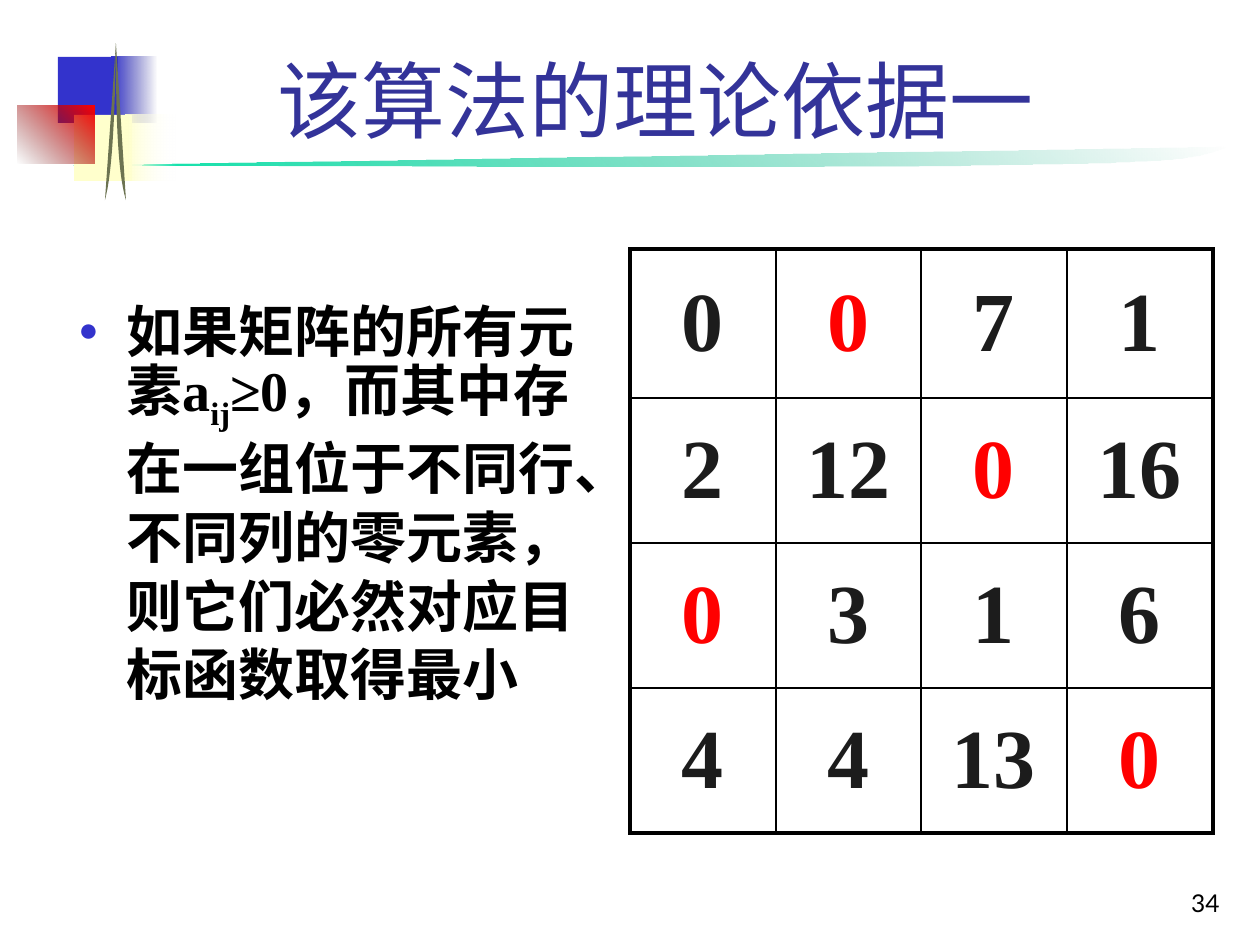
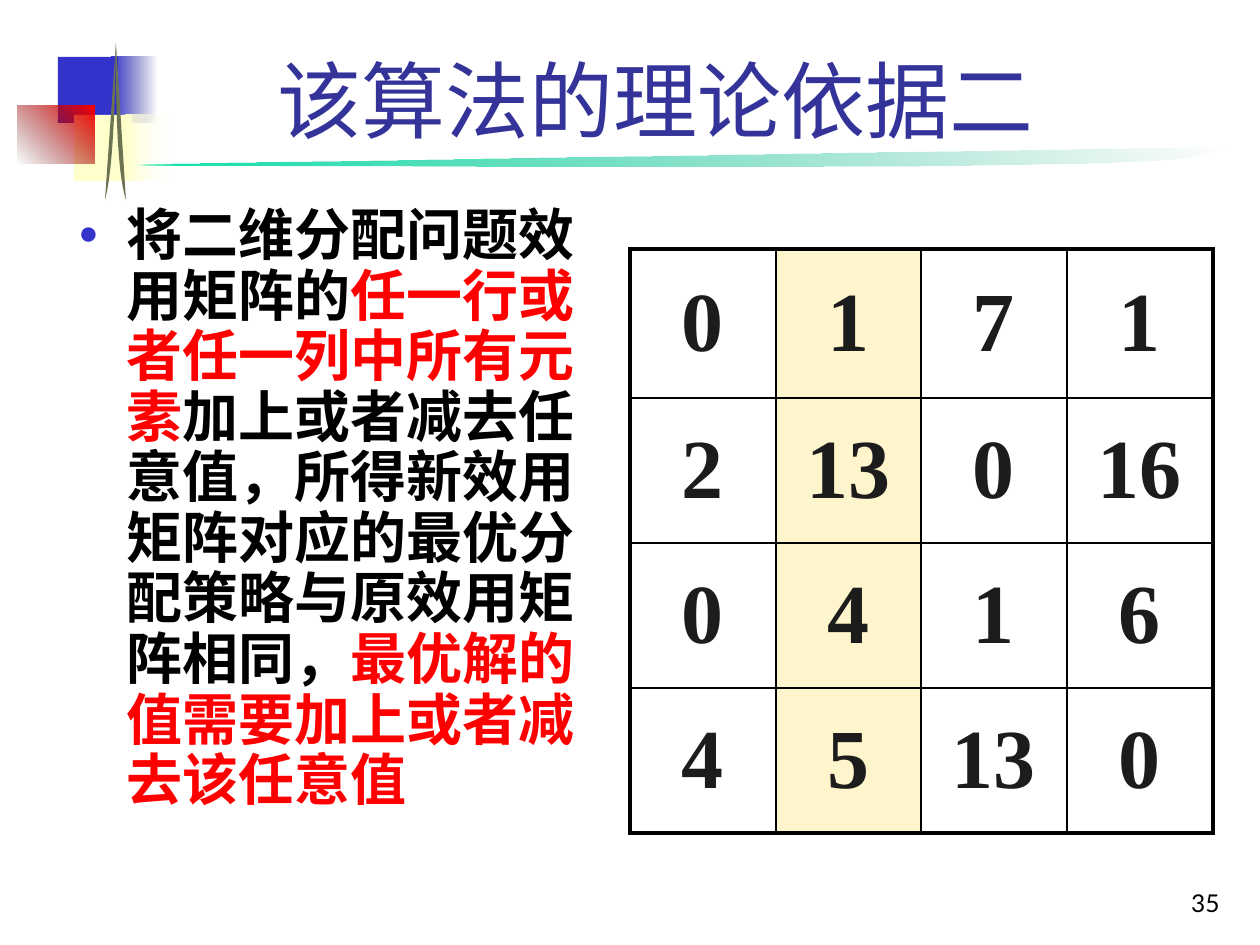
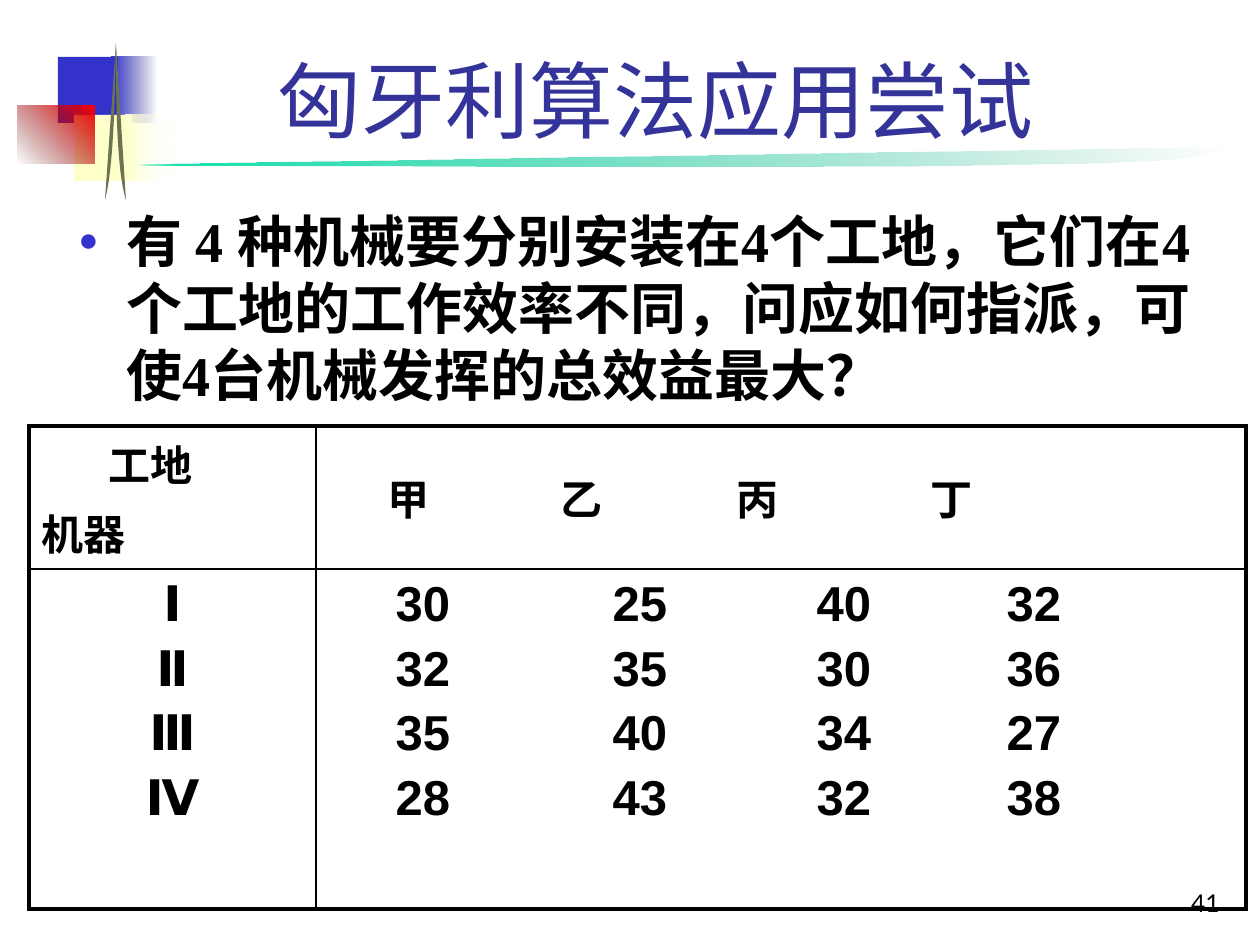
from lxml import etree
from pptx import Presentation
from pptx.dml.color import RGBColor
from pptx.enum.shapes import MSO_SHAPE
from pptx.enum.text import MSO_ANCHOR, PP_ALIGN
from pptx.oxml.ns import qn
from pptx.util import Pt

PX = 914400 / 126
RECT = MSO_SHAPE.RECTANGLE
MIDDLE, BOTTOM = MSO_ANCHOR.MIDDLE, MSO_ANCHOR.BOTTOM
CENTER, RIGHT = PP_ALIGN.CENTER, PP_ALIGN.RIGHT

BLACK = RGBColor(0x00, 0x00, 0x00)
INK = RGBColor(0x1C, 0x1C, 0x1C)
RED = RGBColor(0xFF, 0x00, 0x00)
MAROON = RGBColor(0x4D, 0x00, 0x00)
BLUE = RGBColor(0x33, 0x33, 0xCC)
NAVY = RGBColor(0x24, 0x24, 0x92)
INDIGO = RGBColor(0x33, 0x33, 0x99)
YELLOW = RGBColor(0xFF, 0xFF, 0xCC)
WHITE = RGBColor(0xFF, 0xFF, 0xFF)
CREAM = RGBColor(0xFF, 0xF5, 0xCC)
OLIVE = RGBColor(0x6C, 0x73, 0x51)
MINT = RGBColor(0x00, 0xE4, 0xA8)
GREEN = RGBColor(0x00, 0xA3, 0x78)

HAN = "Noto Sans CJK SC"
TITLE = dict(name=HAN, size=Pt(48), color=INDIGO)
BODY = dict(name="Times New Roman", size=Pt(32), bold=True, color=BLACK)
FOOT = dict(name="Lato", size=Pt(14), color=BLACK)
DIGIT = dict(BODY, size=Pt(48), color=INK)
HEAD = dict(name="Arial", size=Pt(24), bold=True, color=BLACK)
DATA = dict(HEAD, size=Pt(28))

GAP = Pt(4.7)
MATRIX = (630, 249, [146, 145, 146, 146], [149, 145, 145, 145])
PLAN = (29, 426, [287, 930], [143, 340])


def px(*nums):
    return [round(num * PX) for num in nums]


def child(parent, tag, **attrs):
    return etree.SubElement(parent, qn(tag), attrs)


def assign(target, values):
    for key, value in values.items():
        setattr(target, key, value)


# Text

def add_run(para, text, form, base=0):
    run = para.add_run()
    run.text = text
    for key, value in form.items():
        if key == "color":
            run.font.color.rgb = value
        else:
            setattr(run.font, key, value)
    props = run._r.get_or_add_rPr()
    child(props, "a:ea", typeface=HAN)
    if base:
        props.set("baseline", str(base * 1000))


def add_bullet(para):
    props = para._p.get_or_add_pPr()
    props.set("marL", str(px(48)[0]))
    props.set("indent", str(px(-48)[0]))
    child(child(props, "a:buClr"), "a:srgbClr", val=str(BLUE))
    child(props, "a:buSzPct", val="60000")
    child(props, "a:buFont", typeface="Arial")
    child(props, "a:buChar", char="●")


def add_tabs(para, stops):
    tabs = child(para._p.get_or_add_pPr(), "a:tabLst")
    for stop in px(*stops):
        child(tabs, "a:tab", pos=str(stop), algn="l")


def text_box(slide, box, **frame):
    area = slide.shapes.add_textbox(*px(*box)).text_frame
    assign(area, dict(frame, word_wrap=True))
    return area.paragraphs[0]


def fill_cell(cell, lines, form, stops=(), **layout):
    """Writes one paragraph a line, on shared tab stops."""
    area = cell.text_frame
    for num, line in enumerate(lines):
        para = area.add_paragraph() if num else area.paragraphs[0]
        if stops:
            add_tabs(para, stops)
        assign(para, layout)
        if num:
            para.space_before = GAP
        add_run(para, line, form)


# Decoration

def paint(shape, *stops, angle=0):
    """Fills with one colour, or with a gradient of (colour, alpha) stops."""
    shape.shadow.inherit = False
    shape.line.fill.background()
    if len(stops) == 1:
        shape.fill.solid()
        shape.fill.fore_color.rgb = stops[0]
        return
    shape.fill.gradient()
    shape.fill.gradient_angle = angle
    for stop, (color, alpha) in zip(shape.fill.gradient_stops, stops):
        stop.color.rgb = color
    tones = shape._element.spPr.iter(qn("a:srgbClr"))
    for tone, (color, alpha) in zip(tones, stops):
        child(tone, "a:alpha", val=str(alpha * 1000))


def bend(start, *curves, steps=16):
    """Points along a chain of cubic curves."""
    points = [start]
    for one, two, end in curves:
        first = points[-1]
        for step in range(1, steps + 1):
            t = step / steps
            u = 1 - t
            points.append(tuple(
                u**3 * a + 3 * u * u * t * b + 3 * u * t * t * c + t**3 * d
                for a, b, c, d in zip(first, one, two, end)))
    return points


def outline(slide, left, top, points):
    spots = [px(left + x, top + y) for x, y in points]
    pen = slide.shapes.build_freeform(*spots[0])
    pen.add_line_segments(spots[1:], close=True)
    return pen.convert_to_shape()


def swoosh(slide, left, top):
    points = bend((0, 18), ((367, 19), (732, 22), (925, 18)),
                  ((1116, 16), (1121, 12), (1156, 0)))
    paint(outline(slide, left, top, points), (MINT, 100), (GREEN, 0), angle=45)


def emblem(slide, left, top):
    # Overlapping squares
    tiles = [
        ((40, 14, 60, 66), [BLUE], 0),
        ((93, 14, 45, 66), [(BLUE, 100), (NAVY, 0)], 0),
        ((56, 72, 58, 66), [YELLOW], 0),
        ((108, 72, 50, 66), [(YELLOW, 100), (WHITE, 0)], 0),
        ((0, 63, 77, 58), [(MAROON, 0), (RED, 100)], 45),
    ]
    for (x, y, wide, high), stops, angle in tiles:
        tile = slide.shapes.add_shape(RECT, *px(left + x, top + y, wide, high))
        paint(tile, *stops, angle=angle)
    # Two blades
    for curve in (((97, 64), (95, 128), (87, 157)),
                  ((98, 64), (99, 128), (108, 157))):
        paint(outline(slide, left, top, bend((98, 0), curve)), OLIVE)


# Shared slide parts

def base(deck, title, number):
    slide = deck.slides.add_slide(deck.slide_layouts[6])
    swoosh(slide, 73, 147)
    emblem(slide, 18, 43)
    head = text_box(slide, (159, 29, 993, 127), vertical_anchor=BOTTOM)
    head.alignment = CENTER
    add_run(head, title, TITLE)
    foot = text_box(slide, (970, 861, 262, 63), vertical_anchor=BOTTOM)
    foot.alignment = RIGHT
    add_run(foot, number, FOOT)
    return slide


def body(slide, box, pitch, runs):
    para = text_box(slide, box)
    add_bullet(para)
    para.line_spacing = Pt(pitch)
    for text, color, shift in runs:
        add_run(para, text, dict(BODY, color=color), shift)


def grid(slide, left, top, cols, rows):
    """Adds an empty table with a thick frame and thin inner lines."""
    frame = slide.shapes.add_table(
        len(rows), len(cols), *px(left, top, sum(cols), sum(rows)))
    table = frame.table
    assign(table, dict(first_row=False, horz_banding=False))
    for col, wide in zip(table.columns, px(*cols)):
        col.width = wide
    for row, high in zip(table.rows, px(*rows)):
        row.height = high
    for r in range(len(rows)):
        for c in range(len(cols)):
            cell = table.cell(r, c)
            props = cell._tc.get_or_add_tcPr()
            edges = dict(L=c == 0, R=c == len(cols) - 1,
                         T=r == 0, B=r == len(rows) - 1)
            for side, outer in edges.items():
                line = child(props, "a:ln" + side, w=str(Pt(2.25 if outer else 1)))
                child(child(line, "a:solidFill"), "a:srgbClr", val=str(BLACK))
            cell.fill.background()
    return table


def matrix(slide, place, values, reds=(), band=None):
    table = grid(slide, *place)
    for r, row in enumerate(values):
        for c, value in enumerate(row):
            cell = table.cell(r, c)
            cell.vertical_anchor = MIDDLE
            color = RED if (r, c) in reds else INK
            fill_cell(cell, [str(value)], dict(DIGIT, color=color),
                      alignment=CENTER)
            if c == band:
                cell.fill.solid()
                cell.fill.fore_color.rgb = CREAM


def plan(slide, place, sites, machines, values):
    table = grid(slide, *place)
    # Corner and site names
    corner = table.cell(0, 0)
    fill_cell(corner, ["工地", "机器"], HEAD)
    first = corner.text_frame.paragraphs[0]
    first._p.get_or_add_pPr().set("marL", str(px(67)[0]))
    names = table.cell(0, 1)
    names.vertical_anchor = MIDDLE
    fill_cell(names, ["\t" + "\t".join(sites)], HEAD, (59, 232, 408, 602))
    # Machines and their output
    fill_cell(table.cell(1, 0), machines, DATA,
              alignment=CENTER, line_spacing=Pt(32.3))
    lines = ["\t" + "\t".join(map(str, row)) for row in values]
    fill_cell(table.cell(1, 1), lines, DATA, (67, 284, 488, 678),
              line_spacing=Pt(32.3))


def main():
    deck = Presentation()
    deck.slide_width, deck.slide_height = px(1260, 945)

    # Zeros in distinct rows and columns
    slide = base(deck, "该算法的理论依据一", "34")
    body(slide, (66, 289, 539, 587), 39.2, [
        ("如果矩阵的所有元素a", BLACK, 0),
        ("ij", BLACK, -25),
        ("≥0，而其中存在一组位于不同行、不同列的零元素，则它们必然对应目标函数取得最小",
         BLACK, 0)])
    matrix(slide, MATRIX,
           [[0, 0, 7, 1], [2, 12, 0, 16], [0, 3, 1, 6], [4, 4, 13, 0]],
           reds={(0, 1), (1, 2), (2, 0), (3, 3)})

    # One column raised by a constant
    slide = base(deck, "该算法的理论依据二", "35")
    body(slide, (66, 200, 528, 675), 34.6, [
        ("将二维分配问题效用矩阵的", BLACK, 0),
        ("任一行或者任一列中所有元素", RED, 0),
        ("加上或者减去任意值，所得新效用矩阵对应的最优分配策略与原效用矩阵相同，",
         BLACK, 0),
        ("最优解的值需要加上或者减去该任意值", RED, 0)])
    matrix(slide, MATRIX,
           [[0, 1, 7, 1], [2, 13, 0, 16], [0, 4, 1, 6], [4, 5, 13, 0]],
           band=1)

    # Machines and sites
    slide = base(deck, "匈牙利算法应用尝试", "41")
    body(slide, (66, 200, 1171, 675), 38.4, [
        ("有 4 种机械要分别安装在4个工地，它们在4个工地的工作效率不同，"
         "问应如何指派，可使4台机械发挥的总效益最大？", BLACK, 0)])
    plan(slide, PLAN, "甲乙丙丁", "ⅠⅡⅢⅣ",
         [[30, 25, 40, 32], [32, 35, 30, 36], [35, 40, 34, 27], [28, 43, 32, 38]])

    deck.save("out.pptx")


if __name__ == "__main__":
    main()
